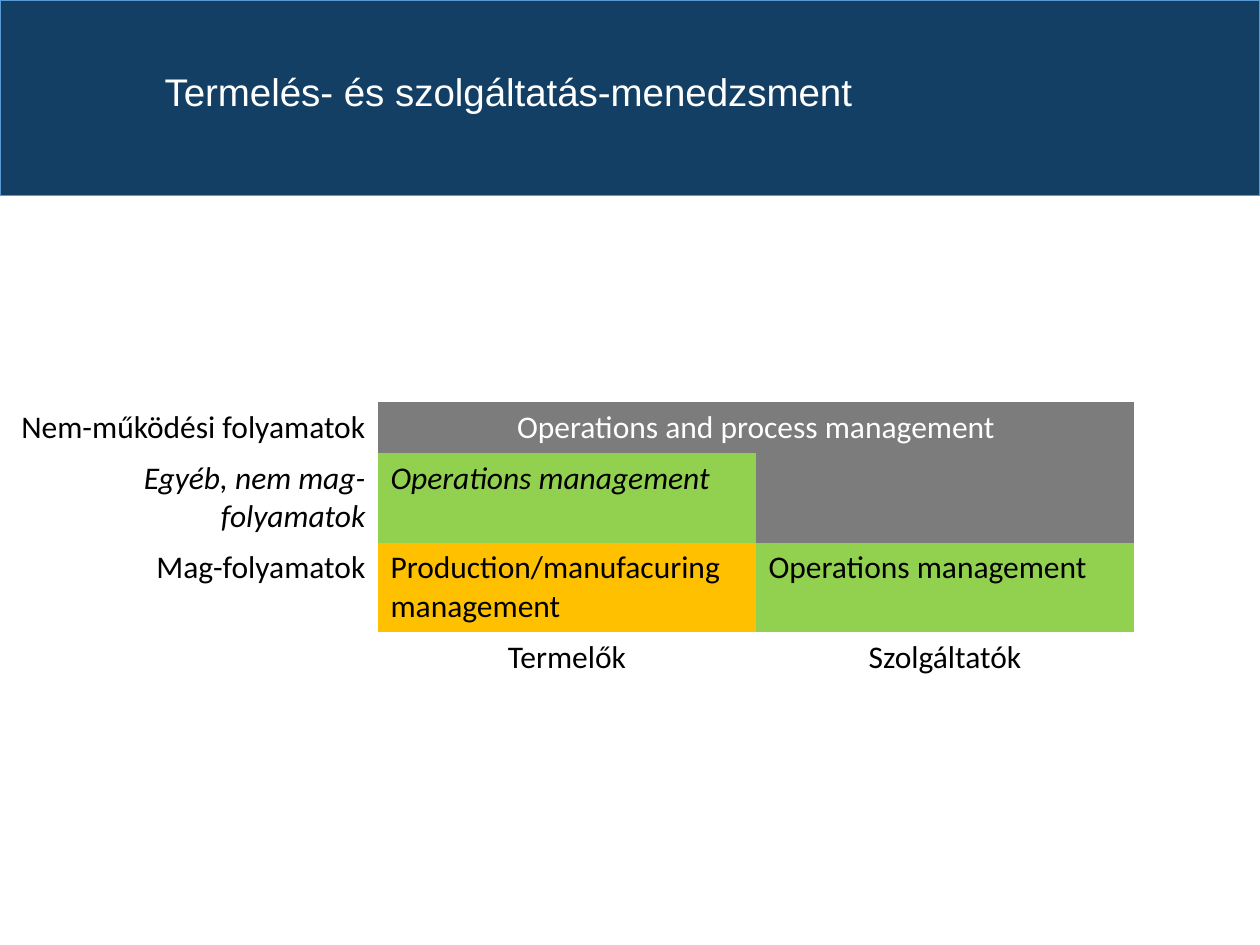
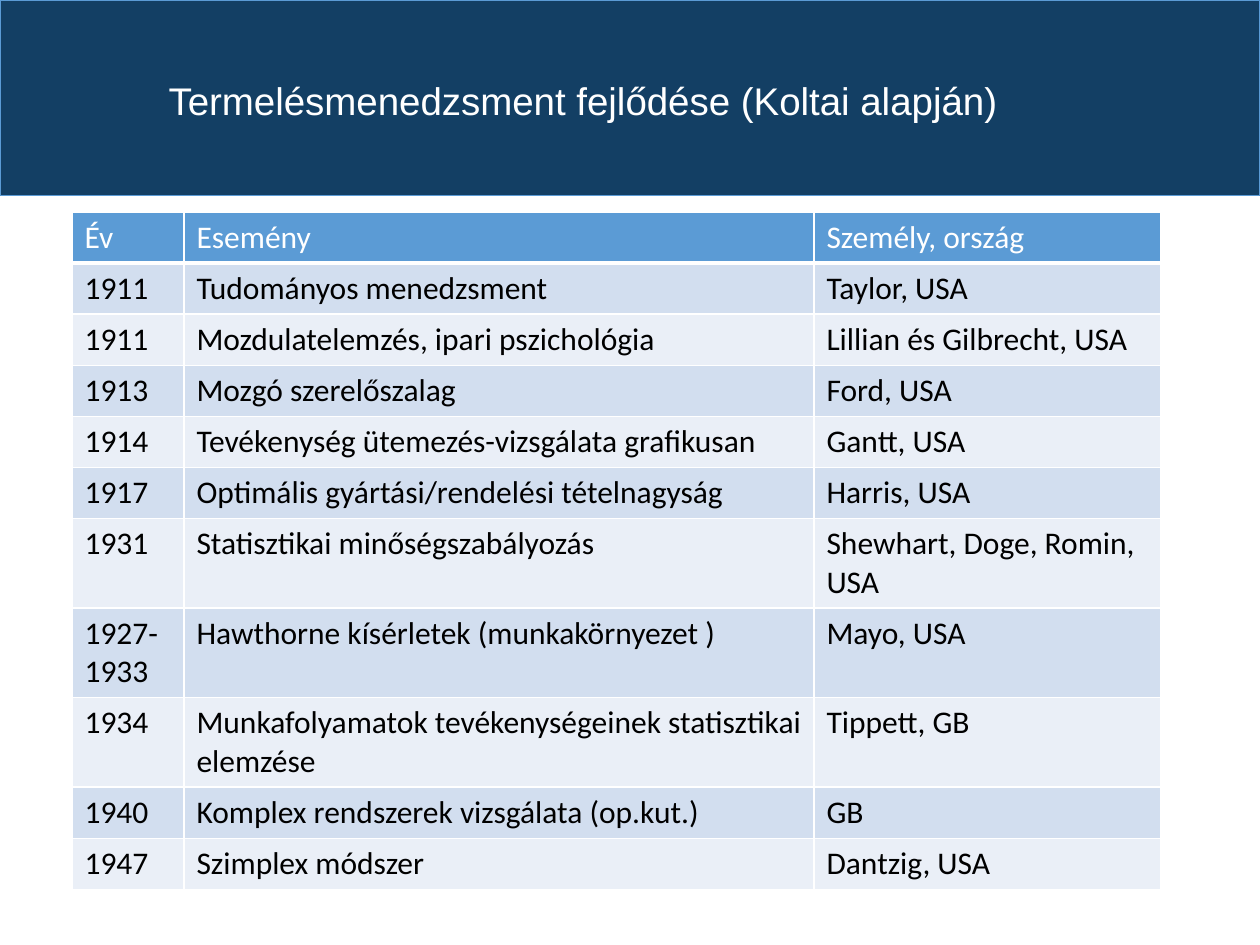
from lxml.etree import SubElement
from pptx import Presentation
from pptx.dml.color import RGBColor
from pptx.enum.shapes import MSO_SHAPE
from pptx.enum.text import MSO_ANCHOR, MSO_AUTO_SIZE, PP_ALIGN
from pptx.oxml.ns import qn
from pptx.util import Pt

PX = 914400 / 126
WHITE = RGBColor(0xFF, 0xFF, 0xFF)
BLACK = RGBColor(0x00, 0x00, 0x00)
NAVY = RGBColor(0x13, 0x3F, 0x64)
BLUE = RGBColor(0x5B, 0x9B, 0xD5)
GRAY = RGBColor(0x7C, 0x7C, 0x7C)
GREEN = RGBColor(0x92, 0xD0, 0x50)
AMBER = RGBColor(0xFF, 0xC0, 0x00)
BAND_DARK = RGBColor(0xD2, 0xDE, 0xEF)
BAND_LIGHT = RGBColor(0xEA, 0xEF, 0xF7)
PLAIN_TABLE_STYLE = "{2D5ABB26-0587-4C30-8999-92F81FD0307C}"
ROW_HEIGHT = 51
LEFT, CENTER, RIGHT = PP_ALIGN.LEFT, PP_ALIGN.CENTER, PP_ALIGN.RIGHT


def write(text_frame, text, size=18, font="Calibri", color=BLACK,
          italic=False, align=LEFT, line_spacing=1.0):
    paragraph = text_frame.paragraphs[0]
    paragraph.alignment = align
    paragraph.line_spacing = line_spacing
    run = paragraph.add_run()
    run.text = text
    run.font.size = Pt(size)
    run.font.name = font
    run.font.color.rgb = color
    run.font.italic = italic


def add_plain_table(slide, left, top, column_widths, row_count):
    """Add a table without style, grid or banding."""
    frame = slide.shapes.add_table(
        row_count, len(column_widths), int(left * PX), int(top * PX),
        int(sum(column_widths) * PX), int(row_count * ROW_HEIGHT * PX))
    table = frame.table
    table.first_row = table.horz_banding = False
    frame.element.find(".//" + qn("a:tableStyleId")).text = PLAIN_TABLE_STYLE
    for column, width in zip(table.columns, column_widths):
        column.width = int(width * PX)
    return table


presentation = Presentation()
presentation.slide_width = int(1260 * PX)
presentation.slide_height = int(945 * PX)
title_layout = presentation.slide_layouts[5]

# Titles
titles = [
    ("Termelés- és szolgáltatás-menedzsment", (152, 15, 1134, 158)),
    ("Termelésmenedzsment fejlődése (Koltai alapján)", (156, 50, 1017, 106)),
]
for text, box in titles:
    slide = presentation.slides.add_slide(title_layout)
    title = slide.shapes.title
    title.left, title.top, title.width, title.height = [int(v * PX) for v in box]
    title.text_frame.auto_size = MSO_AUTO_SIZE.NONE
    title.text_frame.vertical_anchor = MSO_ANCHOR.MIDDLE
    write(title.text_frame, text, size=22, font="Arial", color=WHITE,
          line_spacing=0.9)
scope_slide, history_slide = presentation.slides

# Header band, moved to the shared layout so that it lies behind each title
band = scope_slide.shapes.add_shape(
    MSO_SHAPE.RECTANGLE, 0, 0, presentation.slide_width, int(196 * PX))
band.shadow.inherit = False
band.fill.solid()
band.fill.fore_color.rgb = NAVY
band.line.color.rgb = BLUE
band.line.width = Pt(0.5)
title_layout.shapes.element.insert(2, band.element)

# Slide 1: processes by type of company
scope_rows = [
    [("Nem-működési folyamatok", RIGHT, None),
     ("Operations and process management", CENTER, GRAY), ("", LEFT, GRAY)],
    [("Egyéb, nem mag-folyamatok", RIGHT, None),
     ("Operations management", LEFT, GREEN), ("", LEFT, GRAY)],
    [("Mag-folyamatok", RIGHT, None),
     ("Production/manufacuring management", LEFT, AMBER),
     ("Operations management", LEFT, GREEN)],
    [("", LEFT, None), ("Termelők", CENTER, None),
     ("Szolgáltatók", CENTER, None)],
]
scope_table = add_plain_table(scope_slide, 0, 402, [378] * 3, len(scope_rows))
scope_table.cell(0, 1).merge(scope_table.cell(0, 2))
for row_index, row in enumerate(scope_rows):
    for column_index, (text, align, fill) in enumerate(row):
        cell = scope_table.cell(row_index, column_index)
        if fill is None:
            cell.fill.background()
        else:
            cell.fill.solid()
            cell.fill.fore_color.rgb = fill
        if text:
            write(cell.text_frame, text, align=align, italic=row_index == 1,
                  color=WHITE if fill == GRAY else BLACK)

# Slide 2: milestones of production management
history_rows = [
    ("Év", "Esemény", "Személy, ország"),
    ("1911", "Tudományos menedzsment", "Taylor, USA"),
    ("1911", "Mozdulatelemzés, ipari pszichológia", "Lillian és Gilbrecht, USA"),
    ("1913", "Mozgó szerelőszalag", "Ford, USA"),
    ("1914", "Tevékenység ütemezés-vizsgálata grafikusan", "Gantt, USA"),
    ("1917", "Optimális gyártási/rendelési tételnagyság", "Harris, USA"),
    ("1931", "Statisztikai minőségszabályozás", "Shewhart, Doge, Romin, USA"),
    ("1927-1933", "Hawthorne kísérletek (munkakörnyezet )", "Mayo, USA"),
    ("1934", "Munkafolyamatok tevékenységeinek statisztikai elemzése",
     "Tippett, GB"),
    ("1940", "Komplex rendszerek vizsgálata (op.kut.)", "GB"),
    ("1947", "Szimplex módszer", "Dantzig, USA"),
]
history_table = add_plain_table(
    history_slide, 72, 212, [112, 630, 347], len(history_rows))
for row_index, row in enumerate(history_rows):
    is_header = row_index == 0
    fill = BLUE if is_header else (BAND_LIGHT, BAND_DARK)[row_index % 2]
    for column_index, text in enumerate(row):
        cell = history_table.cell(row_index, column_index)
        write(cell.text_frame, text, color=WHITE if is_header else BLACK)
        # Borders come before the fill in the cell properties
        properties = cell._tc.get_or_add_tcPr()
        for side in ("L", "R", "T", "B"):
            width = 3 if is_header and side == "B" else 1
            border = SubElement(properties, qn(f"a:ln{side}"), w=str(Pt(width)))
            border_fill = SubElement(border, qn("a:solidFill"))
            SubElement(border_fill, qn("a:srgbClr"), val=str(WHITE))
        cell.fill.solid()
        cell.fill.fore_color.rgb = fill

presentation.save("out.pptx")
